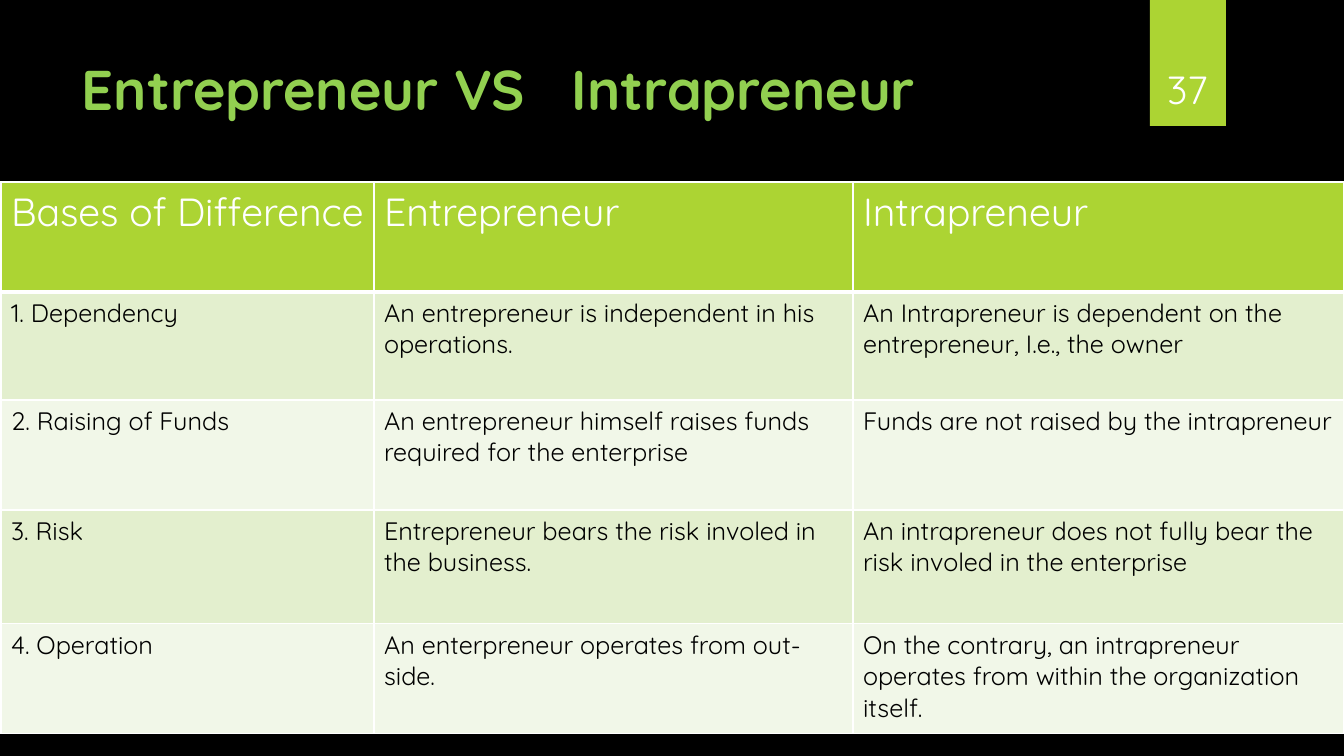
from lxml.etree import SubElement
from pptx import Presentation
from pptx.dml.color import RGBColor
from pptx.enum.shapes import MSO_SHAPE
from pptx.enum.text import MSO_ANCHOR, PP_ALIGN
from pptx.oxml.ns import qn
from pptx.util import Pt

EMU_PER_PX = 914400 / 100.8
LIME, WHITE, BLACK = "ACD433", "FFFFFF", "000000"
BANDS = ["E3EFCE", "F1F7E8"]


def px(*lengths):
    return [round(length * EMU_PER_PX) for length in lengths]


def write(frame, text, color, **formats):
    frame.word_wrap = True
    para = frame.paragraphs[0]
    span = para.add_run()
    span.text = text
    span.font.color.rgb = RGBColor.from_string(color)
    for name, value in {"name": "Quicksand", **formats}.items():
        setattr(span.font, name, value)
    return para


deck = Presentation()
deck.slide_width, deck.slide_height = px(1344, 756)
page = deck.slides.add_slide(deck.slide_layouts[6])
page.background.fill.solid()
page.background.fill.fore_color.rgb = RGBColor.from_string(BLACK)

# Page number tab
tab = page.shapes.add_shape(MSO_SHAPE.RECTANGLE, *px(1150, 0, 76, 126))
tab.shadow.inherit = False
tab.fill.solid()
tab.fill.fore_color.rgb = RGBColor.from_string(LIME)
tab.line.fill.background()

number_box = page.shapes.add_textbox(*px(1141, 32, 93, 85))
number_box.text_frame.vertical_anchor = MSO_ANCHOR.BOTTOM
number = write(number_box.text_frame, "37", WHITE, size=Pt(28))
number.alignment = PP_ALIGN.CENTER

# Title, its second name set at a tab stop
title_box = page.shapes.add_textbox(*px(72, 50, 1037, 98))
title = write(title_box.text_frame, "Entrepreneur VS\tIntrapreneur", "92D050",
              size=Pt(40), bold=True)
stops = SubElement(title._p.get_or_add_pPr(), qn("a:tabLst"))
SubElement(stops, qn("a:tab"), pos=str(px(490)[0]), algn="l")

# Comparison table
rows = [
    ["Bases of Difference", "Entrepreneur", "Intrapreneur"],
    ["1. Dependency",
     "An entrepreneur is independent in his operations.",
     "An Intrapreneur is dependent on the entrepreneur, I.e., the owner"],
    ["2. Raising of Funds",
     "An entrepreneur himself raises funds required for the enterprise",
     "Funds are not raised by the intrapreneur"],
    ["3. Risk",
     "Entrepreneur bears the risk involed in the business.",
     "An intrapreneur does not fully bear the risk involed in the enterprise"],
    ["4. Operation",
     "An enterpreneur operates from out-side.",
     "On the contrary, an intrapreneur operates from within the organization itself."],
]
widths = px(373, 479, 491)
heights = px(110, 108, 110, 114, 110)
table = page.shapes.add_table(len(rows), len(widths), *px(1, 182, 1343, 552)).table
for column, width in zip(table.columns, widths):
    column.width = width

for row_index, (texts, height) in enumerate(zip(rows, heights)):
    header = row_index == 0
    table.rows[row_index].height = height
    fill = LIME if header else BANDS[(row_index - 1) % 2]
    for column_index, text in enumerate(texts):
        cell = table.cell(row_index, column_index)
        write(cell.text_frame, text, WHITE if header else BLACK,
              size=Pt(28 if header else 18), bold=False)
        # White borders, heavier under the header
        for side in "LRTB":
            weight = Pt(3 if header and side == "B" else 1)
            border = SubElement(cell._tc.get_or_add_tcPr(), qn(f"a:ln{side}"),
                                w=str(weight))
            paint = SubElement(border, qn("a:solidFill"))
            SubElement(paint, qn("a:srgbClr"), val=WHITE)
        cell.fill.solid()
        cell.fill.fore_color.rgb = RGBColor.from_string(fill)

deck.save("out.pptx")
